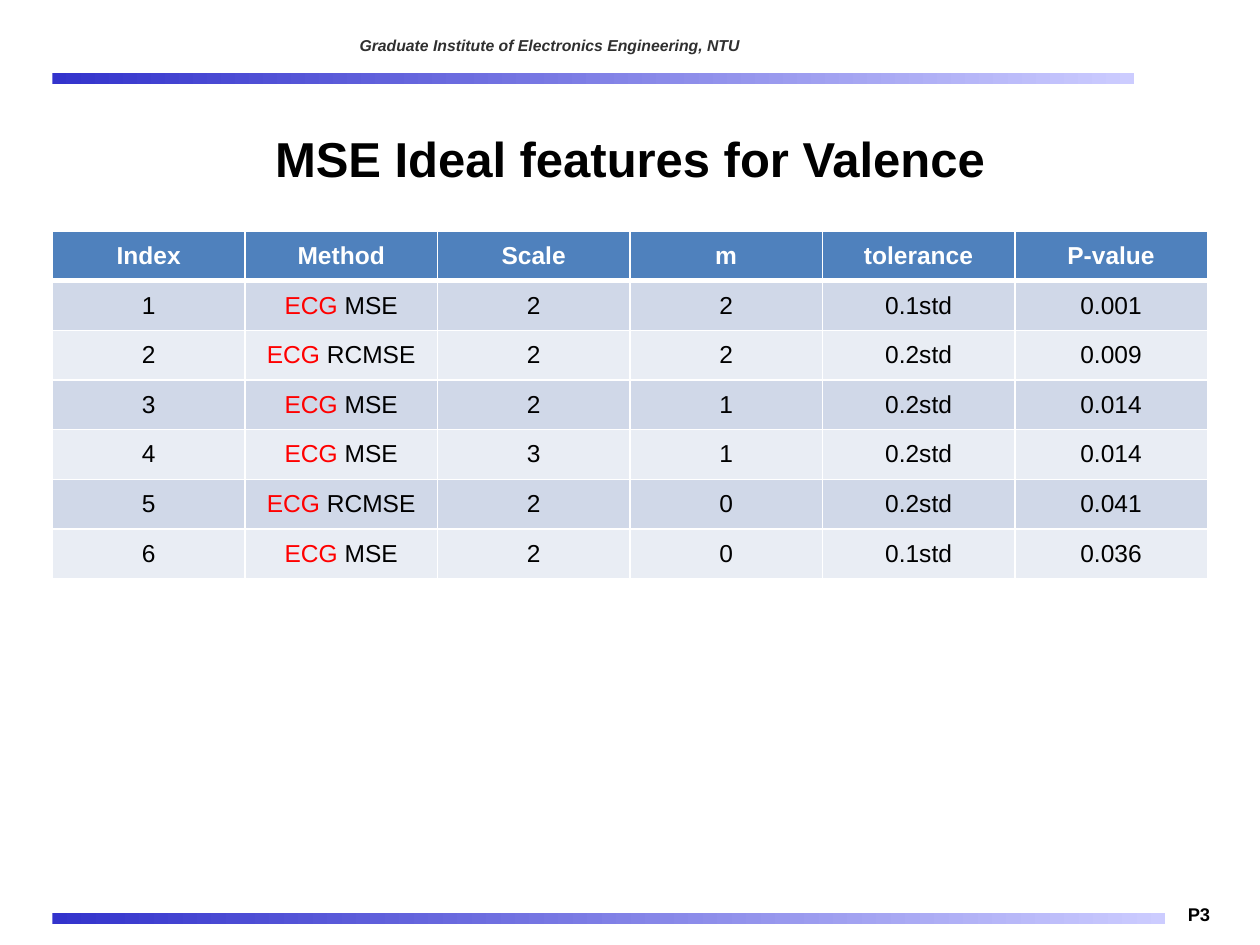
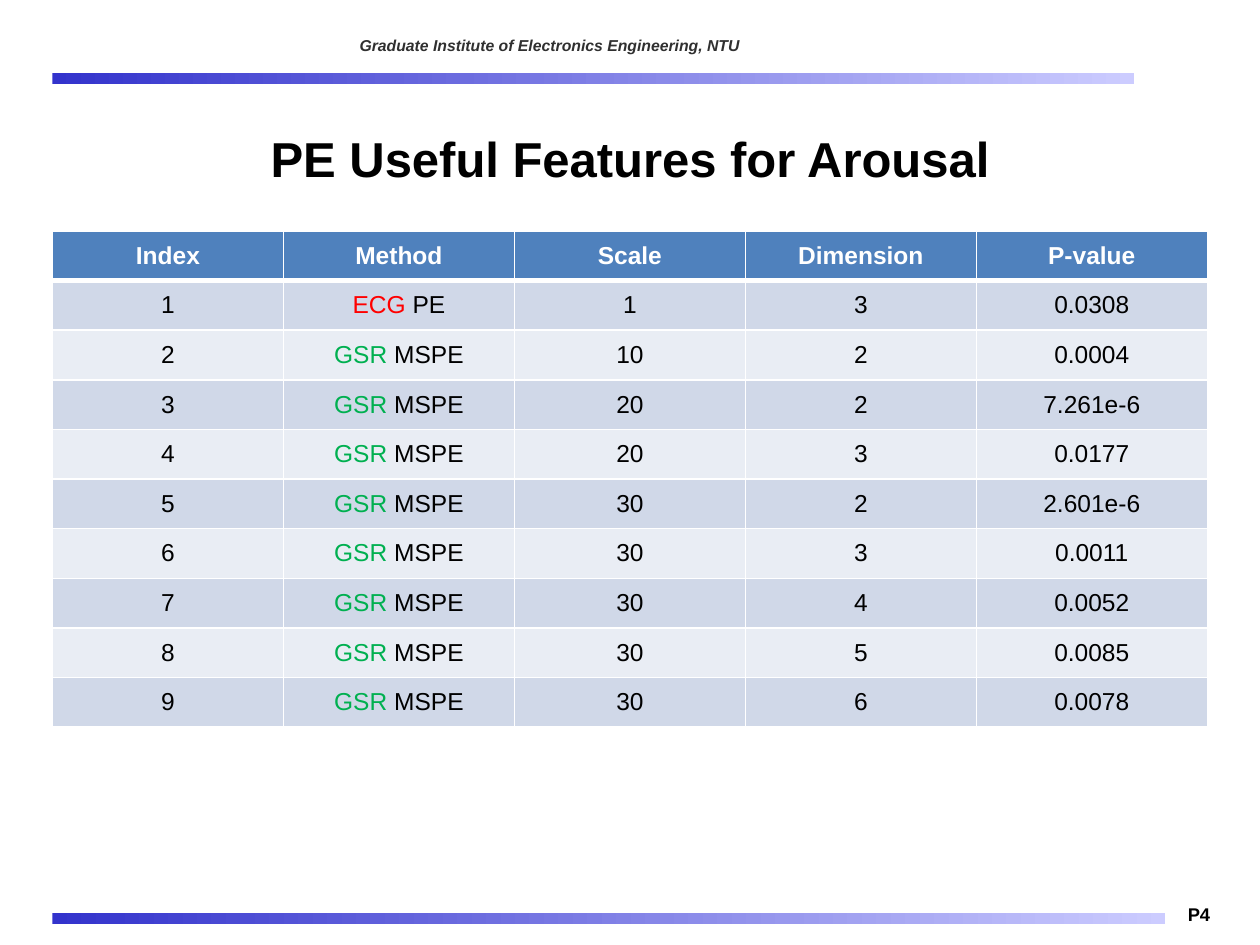
from dataclasses import dataclass

from lxml.etree import SubElement
from pptx import Presentation
from pptx.dml.color import RGBColor
from pptx.enum.shapes import MSO_SHAPE as Preset
from pptx.enum.text import MSO_ANCHOR as Anchor, MSO_AUTO_SIZE as AutoSize, PP_ALIGN as Align
from pptx.oxml.ns import qn
from pptx.slide import Slide
from pptx.table import _Cell as Cell
from pptx.text.text import Font, _Paragraph as Paragraph
from pptx.util import Emu, Pt

EMU_PER_PX = 9525


@dataclass(frozen=True)
class Theme:
    """Colours, font and type sizes shared by the slides."""

    font: str = "Arial"
    text: str = "000000"
    institute: str = "303030"
    band_start: str = "3333CC"
    band_end: str = "CCCCFF"
    header_fill: str = "4F81BD"
    row_fills: tuple[str, str] = ("D0D8E8", "E9EDF4")
    white: str = "FFFFFF"
    title_size: float = 28
    institute_size: float = 9
    page_size: float = 10.5
    table_size: float = 14
    thin_line: float = 1
    thick_line: float = 3


@dataclass(frozen=True)
class Box:
    """A rectangle in px."""

    left: int
    top: int
    width: int
    height: int

    def emu(self) -> tuple[Emu, Emu, Emu, Emu]:
        """Return left, top, width and height in EMU."""
        return px(self.left), px(self.top), px(self.width), px(self.height)


@dataclass(frozen=True)
class FeatureSlide:
    """The title, page number and feature table of one slide."""

    title: str
    page: int
    table_height: int
    header: tuple[str, ...]
    rows: tuple[tuple[str, ...], ...]


THEME = Theme()
SIGNAL_COLORS = {"ECG": "FF0000", "GSR": "00B050"}
INSTITUTE = "Graduate Institute of Electronics Engineering, NTU"
BANDS = (Box(40, 56, 824, 8), Box(40, 696, 848, 8))
INSTITUTE_BOX = Box(267, 23, 557, 22)
PAGE_BOX = Box(898, 684, 41, 24)
TITLE_BOX = Box(40, 80, 880, 80)
TABLE_LEFT, TABLE_TOP, TABLE_WIDTH = 40, 176, 880

SLIDES = (
    FeatureSlide(
        "MSE Ideal features for Valence", 3, 265,
        ("Index", "Method", "Scale", "m", "tolerance", "P-value"),
        (
            ("1", "ECG MSE", "2", "2", "0.1std", "0.001"),
            ("2", "ECG RCMSE", "2", "2", "0.2std", "0.009"),
            ("3", "ECG MSE", "2", "1", "0.2std", "0.014"),
            ("4", "ECG MSE", "3", "1", "0.2std", "0.014"),
            ("5", "ECG RCMSE", "2", "0", "0.2std", "0.041"),
            ("6", "ECG MSE", "2", "0", "0.1std", "0.036"),
        ),
    ),
    FeatureSlide(
        "PE Useful Features for Arousal", 4, 378,
        ("Index", "Method", "Scale", "Dimension", "P-value"),
        (
            ("1", "ECG PE", "1", "3", "0.0308"),
            ("2", "GSR MSPE", "10", "2", "0.0004"),
            ("3", "GSR MSPE", "20", "2", "7.261e-6"),
            ("4", "GSR MSPE", "20", "3", "0.0177"),
            ("5", "GSR MSPE", "30", "2", "2.601e-6"),
            ("6", "GSR MSPE", "30", "3", "0.0011"),
            ("7", "GSR MSPE", "30", "4", "0.0052"),
            ("8", "GSR MSPE", "30", "5", "0.0085"),
            ("9", "GSR MSPE", "30", "6", "0.0078"),
        ),
    ),
)


def px(length: int) -> Emu:
    """Turn px into EMU."""
    return Emu(length * EMU_PER_PX)


def rgb(color: str) -> RGBColor:
    """Turn a hex string into a colour."""
    return RGBColor.from_string(color)


def set_font(font: Font, size: float, color: str, bold: bool) -> None:
    """Set the face, size, colour and weight of a font."""
    font.name, font.size, font.bold = THEME.font, Pt(size), bold
    font.color.rgb = rgb(color)


def add_band(slide: Slide, box: Box) -> None:
    """Draw a horizontal gradient band."""
    band = slide.shapes.add_shape(Preset.RECTANGLE, *box.emu())
    band.shadow.inherit = False
    band.line.fill.background()
    band.fill.gradient()
    band.fill.gradient_angle = 0
    for stop, color in zip(band.fill.gradient_stops, (THEME.band_start, THEME.band_end)):
        stop.color.rgb = rgb(color)


def add_label(slide: Slide, box: Box, text: str, size: float, color: str, wrap: bool) -> Paragraph:
    """Add a bold one-line label with narrow insets."""
    frame = slide.shapes.add_textbox(*box.emu()).text_frame
    frame.word_wrap = wrap
    frame.margin_left = frame.margin_right = px(7)
    frame.margin_top = frame.margin_bottom = px(4)
    paragraph = frame.paragraphs[0]
    paragraph.text = text
    set_font(paragraph.font, size, color, bold=True)
    return paragraph


def add_frame(slide: Slide, page: int) -> None:
    """Draw the bands, the institute and the page number."""
    for band in BANDS:
        add_band(slide, band)
    institute = add_label(
        slide, INSTITUTE_BOX, INSTITUTE, THEME.institute_size, THEME.institute, wrap=True
    )
    institute.font.italic = True
    add_label(slide, PAGE_BOX, f"P{page}", THEME.page_size, THEME.text, wrap=False)


def set_title(slide: Slide, text: str) -> None:
    """Place and format the title placeholder."""
    title = slide.shapes.title
    title.left, title.top, title.width, title.height = TITLE_BOX.emu()
    frame = title.text_frame
    frame.text = text
    frame.auto_size = AutoSize.NONE
    frame.vertical_anchor = Anchor.MIDDLE
    paragraph = frame.paragraphs[0]
    paragraph.alignment = Align.CENTER
    set_font(paragraph.font, THEME.title_size, THEME.text, bold=True)


def set_borders(cell: Cell, top: float, bottom: float) -> None:
    """Draw white lines on the four sides of a cell."""
    properties = cell._tc.get_or_add_tcPr()
    sides = {"L": THEME.thin_line, "R": THEME.thin_line, "T": top, "B": bottom}
    for position, (side, width) in enumerate(sides.items()):
        line = SubElement(properties, qn(f"a:ln{side}"), w=str(Pt(width)))
        fill = SubElement(line, qn("a:solidFill"))
        SubElement(fill, qn("a:srgbClr"), val=THEME.white)
        properties.insert(position, line)


def fill_cell(cell: Cell, text: str, row_index: int) -> None:
    """Write and format one table cell, colouring a leading signal name."""
    is_header = row_index == 0
    cell.fill.solid()
    cell.fill.fore_color.rgb = rgb(THEME.header_fill if is_header else THEME.row_fills[(row_index - 1) % 2])
    cell.vertical_anchor = Anchor.MIDDLE
    cell.margin_left = cell.margin_right = px(9)
    cell.margin_top = cell.margin_bottom = px(4)
    set_borders(
        cell,
        top=THEME.thick_line if row_index == 1 else THEME.thin_line,
        bottom=THEME.thick_line if is_header else THEME.thin_line,
    )
    paragraph = cell.text_frame.paragraphs[0]
    paragraph.alignment = Align.CENTER
    set_font(paragraph.font, THEME.table_size, THEME.white if is_header else THEME.text, bold=is_header)
    signal, space, method = text.partition(" ")
    if signal in SIGNAL_COLORS:
        run = paragraph.add_run()
        run.text = signal
        run.font.color.rgb = rgb(SIGNAL_COLORS[signal])
        text = space + method
    paragraph.add_run().text = text


def add_feature_table(slide: Slide, content: FeatureSlide) -> None:
    """Add the banded feature table."""
    rows = (content.header, *content.rows)
    box = Box(TABLE_LEFT, TABLE_TOP, TABLE_WIDTH, content.table_height)
    table = slide.shapes.add_table(len(rows), len(content.header), *box.emu()).table
    table.horz_banding = False
    for row_index, row in enumerate(rows):
        for column_index, text in enumerate(row):
            fill_cell(table.cell(row_index, column_index), text, row_index)


def main() -> None:
    """Build the presentation."""
    presentation = Presentation()
    presentation.slide_width, presentation.slide_height = px(960), px(720)
    title_only = presentation.slide_layouts.get_by_name("Title Only")
    for content in SLIDES:
        slide = presentation.slides.add_slide(title_only)
        add_frame(slide, content.page)
        set_title(slide, content.title)
        add_feature_table(slide, content)
    presentation.save("out.pptx")


if __name__ == "__main__":
    main()
